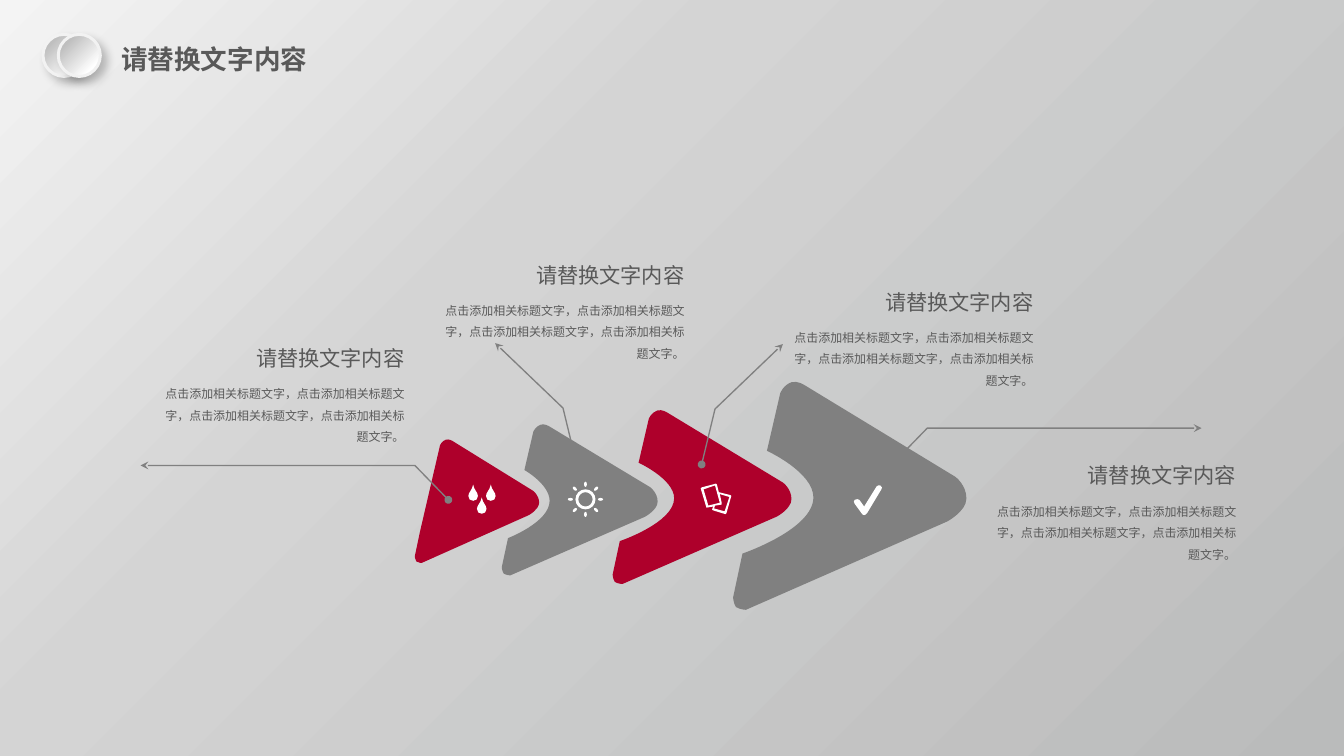
import math
from dataclasses import dataclass

import lxml.etree
import pptx
import pptx.dml.color
import pptx.enum.shapes
import pptx.enum.text
import pptx.oxml.ns
import pptx.util

Inches, Pt = pptx.util.Inches, pptx.util.Pt
qn = pptx.oxml.ns.qn
ALIGN, ANCHOR = pptx.enum.text.PP_ALIGN, pptx.enum.text.MSO_ANCHOR
OVAL = pptx.enum.shapes.MSO_SHAPE.OVAL


@dataclass(frozen=True)
class Theme:
    red: str = "AE002B"
    gray: str = "808080"
    white: str = "FFFFFF"
    text: str = "595959"
    rim: str = "F2F2F2"
    shade: str = "000000"
    backdrop: tuple = ((0, "F4F4F4"), (35, "D4D4D4"), (100, "BABBBB"))
    disc: tuple = ((20, "BFBFBF"), (80, "FFFFFF"), (100, "FFFFFF"))
    title: tuple = ("Calibri", 20)
    heading: tuple = ("Lato", 16)
    body: tuple = ("Arial", 9)


THEME = Theme()
HEADING = "请替换文字内容"
BODY = "，".join(["点击添加相关标题文字"] * 4) + "。"

# Outlines: a pair is a corner, six numbers are a Bezier curve.
DROP = [(0.05, 0), (0.04, 0.06, 0, 0.08, 0, 0.12), (0, 0.15, 0.02, 0.17, 0.05, 0.17),
        (0.08, 0.17, 0.1, 0.15, 0.1, 0.12), (0.1, 0.08, 0.06, 0.06, 0.05, 0)]
CARDS = [
    [(0.31, 0.12), (0.19, 0.09), (0.17, 0.01), (0.16, 0), (0.01, 0.04), (0, 0.05),
     (0.06, 0.25), (0.07, 0.25), (0.13, 0.24), (0.12, 0.27), (0.13, 0.28),
     (0.26, 0.32), (0.27, 0.31), (0.32, 0.13)],
    [(0.03, 0.06), (0.15, 0.02), (0.2, 0.2), (0.08, 0.23)],
    [(0.25, 0.29), (0.14, 0.26), (0.15, 0.23), (0.22, 0.22), (0.22, 0.2),
     (0.2, 0.11), (0.3, 0.14)],
]
CHECK = [[(0.11, 0.32), (0.1, 0.32, 0.09, 0.31, 0.09, 0.31), (0.01, 0.2),
          (0, 0.19, 0, 0.17, 0.01, 0.16), (0.03, 0.15, 0.05, 0.15, 0.06, 0.16),
          (0.11, 0.23), (0.24, 0.02), (0.25, 0.01, 0.27, 0, 0.28, 0.01),
          (0.3, 0.02, 0.3, 0.04, 0.29, 0.05), (0.14, 0.3),
          (0.13, 0.31, 0.12, 0.32, 0.11, 0.32)]]


def rgb(value):
    return pptx.dml.color.RGBColor.from_string(value)


def assign(obj, values):
    for name, value in values.items():
        setattr(obj, name, value)


def add_outline(slide, left, top, contours, width=1, height=1, close=True):
    """Draw contours scaled by width and height from the given corner."""
    def place(seg):
        return [(Inches(left + x * width), Inches(top + y * height))
                for x, y in zip(seg[::2], seg[1::2])]

    fb = None
    for contour in contours:
        ends = [place(seg)[-1] for seg in contour]
        if fb is None:
            fb = slide.shapes.build_freeform(*ends[0])
        else:
            fb.move_to(*ends[0])
        fb.add_line_segments(ends[1:], close=close)
    sp = fb.convert_to_shape()
    sp.shadow.inherit = False

    segments = [seg for contour in contours for seg in contour[1:]]
    for line, seg in zip(list(sp.element.iter(qn("a:lnTo"))), segments):
        if len(seg) == 6:
            curve = lxml.etree.Element(qn("a:cubicBezTo"))
            for x, y in place(seg):
                lxml.etree.SubElement(curve, qn("a:pt"),
                                      x=str(x - sp.left), y=str(y - sp.top))
            line.getparent().replace(line, curve)
    return sp


def add_solid(slide, left, top, contours, color, width=1, height=1):
    sp = add_outline(slide, left, top, contours, width, height)
    sp.fill.solid()
    sp.fill.fore_color.rgb = rgb(color)
    sp.line.fill.background()


def set_gradient(fill, element, stops):
    fill.gradient()
    fill.gradient_angle = 315
    gs_list = next(element.iter(qn("a:gsLst")))
    for gs in list(gs_list):
        gs_list.remove(gs)
    for pos, color in stops:
        gs = lxml.etree.SubElement(gs_list, qn("a:gs"), pos=str(pos * 1000))
        lxml.etree.SubElement(gs, qn("a:srgbClr"), val=color)


def add_text(slide, box, text, style, frame, para, bold=False):
    tf = slide.shapes.add_textbox(*map(Inches, box)).text_frame
    assign(tf, frame)
    p = tf.paragraphs[0]
    assign(p, para)
    r = p.add_run()
    r.text = text
    assign(r.font, {"name": style[0], "size": Pt(style[1]), "bold": bold})
    r.font.color.rgb = rgb(THEME.text)


def add_arrowhead(slide, left, top, width, height, color, notch):
    """Rounded arrowhead; notch is the depth of the hollow back, 0 for none."""
    back = [(0.04, 0.755)]
    if notch:
        back += [(0.04, 0.755, notch, 0.65, notch, 0.51),
                 (notch, 0.4, 0.145, 0.307, 0.145, 0.307)]
    outline = [(1, 0.515), (1, 0.57, 0.918, 0.615, 0.918, 0.615), (0.055, 1),
               (0.055, 1, 0.03, 1, 0.012, 0.988), (0, 0.97, 0, 0.945, 0, 0.945),
               *back, (0.202, 0.056), (0.202, 0.056, 0.215, 0.02, 0.25, 0.008),
               (0.275, 0, 0.305, 0.02, 0.305, 0.02), (0.952, 0.42),
               (0.952, 0.42, 1, 0.455, 1, 0.515)]
    add_solid(slide, left, top, [outline], color, width, height)


def add_leader(slide, left, top, side, bend, end):
    """Bent pointer from a dot; side is 1 to the right, -1 to the left."""
    sp = add_outline(slide, left, top, [[(0, 0), bend, end]], width=side, close=False)
    sp.fill.background()
    sp.line.color.rgb = rgb(THEME.gray)
    sp.line.width = Pt(1)
    ln = next(sp.element.iter(qn("a:ln")))
    for tag, kind in (("a:headEnd", "oval"), ("a:tailEnd", "stealth")):
        lxml.etree.SubElement(ln, qn(tag), type=kind)


def ring(c, r):
    """Circle of radius r about (c, c)."""
    k = 0.55 * r
    return [(c + r, c), (c + r, c + k, c + k, c + r, c, c + r),
            (c - k, c + r, c - r, c + k, c - r, c),
            (c - r, c - k, c - k, c - r, c, c - r),
            (c + k, c - r, c + r, c - k, c + r, c)]


def ray(c, angle):
    """Lens-shaped ray of the sun centred on (c, c)."""
    def turn(*pts):
        return tuple(v for x, y in pts for v in (
            c + x * math.cos(angle) - y * math.sin(angle),
            c + x * math.sin(angle) + y * math.cos(angle)))

    near, far, w = 0.13, 0.185, 0.02
    return [turn((near, 0)), turn((near, w), (far, w), (far, 0)),
            turn((far, -w), (near, -w), (near, 0))]


def add_icons(slide, left, top):
    drops = [[tuple(v + (dx, dy)[i % 2] for i, v in enumerate(seg)) for seg in DROP]
             for dx, dy in ((0, 0), (0.185, 0), (0.09, 0.135))]
    mid = 0.185
    sun = [ring(mid, r) for r in (0.105, 0.075)]
    sun += [ray(mid, k * math.pi / 4) for k in range(8)]
    for dx, dy, contours in ((0, 0.03, drops), (1.04, 0, sun),
                             (2.43, 0.02, CARDS), (4.03, 0.03, CHECK)):
        add_solid(slide, left + dx, top + dy, contours, THEME.white)


def add_caption(slide, left, top):
    inset = {"margin_left": 0, "margin_right": 0, "word_wrap": True}
    add_text(slide, (left, top, 2.91, 0.39), HEADING, THEME.heading,
             {**inset, "margin_top": Inches(0.11), "margin_bottom": Inches(0.11),
              "vertical_anchor": ANCHOR.MIDDLE}, {"alignment": ALIGN.RIGHT})
    add_text(slide, (left + 0.4, top + 0.42, 2.51, 0.63), BODY, THEME.body,
             {**inset, "margin_top": 0, "margin_bottom": 0},
             {"alignment": ALIGN.RIGHT, "line_spacing": 1.5})


def add_title(slide, left, top):
    add_text(slide, (left + 0.72, top + 0.04, 2.17, 0.44), HEADING, THEME.title,
             {"word_wrap": False}, {"alignment": ALIGN.LEFT}, bold=True)
    for dx in (0, 0.16):
        sp = slide.shapes.add_shape(OVAL, *map(Inches, (left + dx, top, 0.44, 0.44)))
        set_gradient(sp.fill, sp.element, THEME.disc)
        sp.line.color.rgb = rgb(THEME.rim)
        sp.line.width = Pt(2.25)
        sp.shadow.inherit = False
        effects = next(sp.element.iter(qn("a:effectLst")))
        shadow = lxml.etree.SubElement(
            effects, qn("a:outerShdw"), blurRad=str(Pt(7)), dist=str(Pt(5.9)),
            dir=str(45 * 60000), algn="tl", rotWithShape="0")
        color = lxml.etree.SubElement(shadow, qn("a:srgbClr"), val=THEME.shade)
        lxml.etree.SubElement(color, qn("a:alpha"), val="23000")


def main():
    prs = pptx.Presentation()
    prs.slide_width, prs.slide_height = Inches(14.06), Inches(7.91)
    slide = prs.slides.add_slide(prs.slide_layouts[6])
    set_gradient(slide.background.fill, slide.element, THEME.backdrop)

    add_arrowhead(slide, 7.67, 3.98, 2.44, 2.4, THEME.gray, 0.344)
    add_arrowhead(slide, 6.41, 4.28, 1.87, 1.83, THEME.red, 0.344)
    add_arrowhead(slide, 5.25, 4.43, 1.63, 1.59, THEME.gray, 0.307)
    add_arrowhead(slide, 4.34, 4.59, 1.3, 1.3, THEME.red, 0)

    flat, steep = ((0.35, -0.36), (3.22, -0.36)), ((0.14, -0.58), (0.85, -1.26))
    add_leader(slide, 9.35, 4.84, 1, *flat)
    add_leader(slide, 4.69, 5.23, -1, *flat)
    add_leader(slide, 7.34, 4.86, 1, *steep)
    add_leader(slide, 6.03, 4.85, -1, *steep)

    add_icons(slide, 4.9, 5.04)
    for left, top in ((1.32, 3.55), (4.25, 2.68), (7.9, 2.96), (10.02, 4.78)):
        add_caption(slide, left, top)
    add_title(slide, 0.45, 0.36)
    prs.save("out.pptx")


if __name__ == "__main__":
    main()
